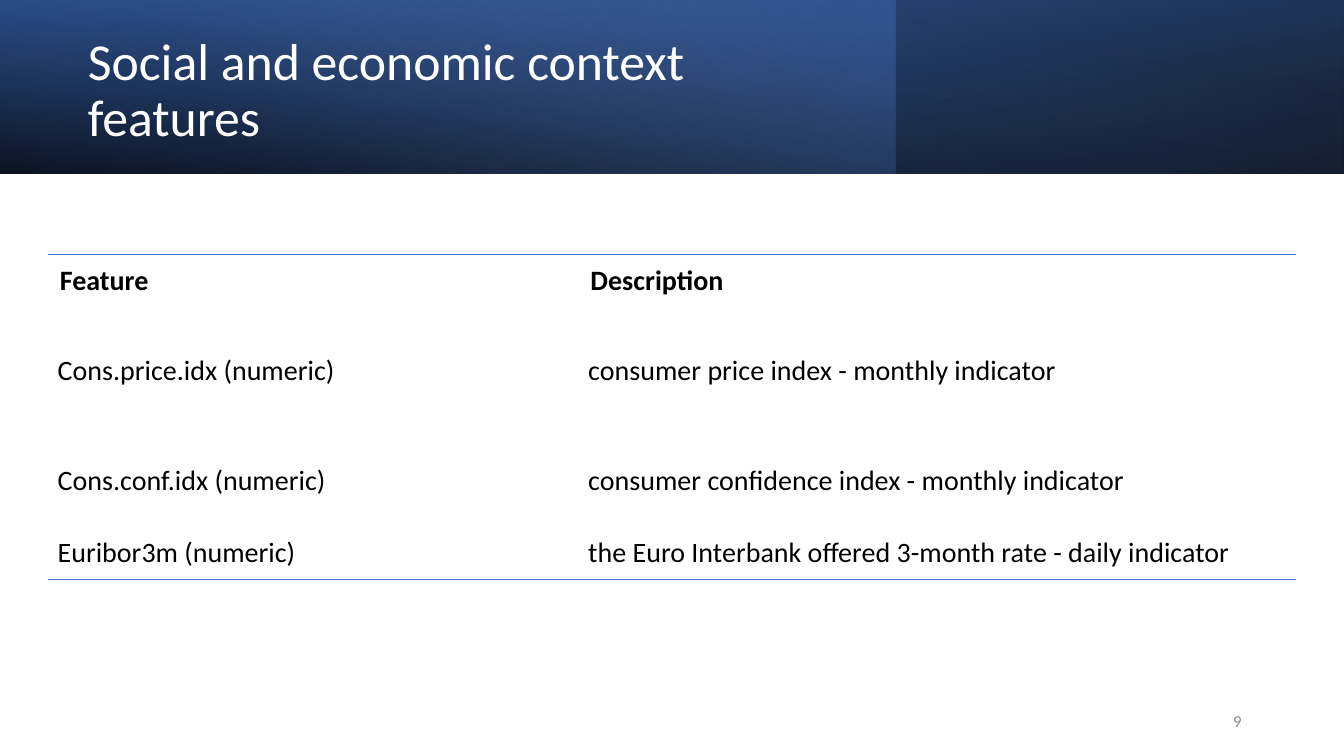
from lxml import etree
from pptx import Presentation
from pptx.dml.color import RGBColor
from pptx.enum import shapes, text
from pptx.oxml import ns
from pptx.util import Pt

FONT = "Calibri"
BLUE = "4472C4"
NO_STYLE = "{2D5ABB26-0587-4C30-8999-92F81FD0307C}"
FEATURES = [
    ("Feature", "Description"),
    ("Cons.price.idx (numeric)", "consumer price index - monthly indicator"),
    ("Cons.conf.idx (numeric)", "consumer confidence index - monthly indicator"),
    ("Euribor3m (numeric)", "the Euro Interbank offered 3-month rate - daily indicator"),
]
COLUMN_WIDTHS = (379, 513)
ROW_HEIGHTS = (38, 91.5, 65, 38)


def rgb(color):
    return RGBColor.from_string(color)


def write(frame, words, size, color, bold=False, align=text.PP_ALIGN.LEFT):
    frame.text = words
    paragraph = frame.paragraphs[0]
    paragraph.alignment = align
    font = paragraph.runs[0].font
    font.name, font.size, font.bold = FONT, Pt(size), bold
    font.color.rgb = rgb(color)


def add_solid(parent, color, alpha=100):
    solid = etree.SubElement(parent, ns.qn("a:srgbClr"), val=color)
    if alpha < 100:
        etree.SubElement(solid, ns.qn("a:alpha"), val=str(alpha * 1000))


def add_band(slide, width, stops, angle, rotation=0, flip=False):
    """Add a header layer; stops are (position %, colour, opacity %)."""
    band = slide.shapes.add_shape(shapes.MSO_SHAPE.RECTANGLE, 0, 0, Pt(width), Pt(124))
    band.shadow.inherit = False
    band.line.fill.background()
    band.rotation = rotation
    properties = band._element.spPr
    if flip:
        properties.find(ns.qn("a:xfrm")).set("flipH", "1")

    band.fill.background()
    gradient = etree.Element(ns.qn("a:gradFill"), rotWithShape="1")
    stop_list = etree.SubElement(gradient, ns.qn("a:gsLst"))
    for position, color, alpha in stops:
        stop = etree.SubElement(stop_list, ns.qn("a:gs"), pos=str(position * 1000))
        add_solid(stop, color, alpha)
    etree.SubElement(gradient, ns.qn("a:lin"), ang=str(angle * 60000), scaled="0")
    properties.replace(properties.find(ns.qn("a:noFill")), gradient)


def add_title(slide, words):
    title = slide.shapes.title
    title.left, title.top, title.width, title.height = Pt(55.5), Pt(19.5), Pt(556), Pt(91.5)
    slide.shapes._spTree.append(title._element)  # bring in front of the bands
    frame = title.text_frame
    write(frame, words, 37, "FFFFFF")
    frame.word_wrap = True
    frame.auto_size = text.MSO_AUTO_SIZE.NONE
    frame.vertical_anchor = text.MSO_ANCHOR.MIDDLE
    frame.paragraphs[0].line_spacing = 0.9


def add_border(cell, side):
    border = etree.Element(ns.qn(side), w=str(Pt(1)))
    add_solid(etree.SubElement(border, ns.qn("a:solidFill")), BLUE)
    cell._tc.get_or_add_tcPr().insert(0, border)


def add_feature_table(slide):
    table = slide.shapes.add_table(
        len(FEATURES), len(COLUMN_WIDTHS), Pt(34), Pt(181.5),
        Pt(sum(COLUMN_WIDTHS)), Pt(sum(ROW_HEIGHTS))).table
    table.horz_banding = False
    table._tbl.tblPr.find(ns.qn("a:tableStyleId")).text = NO_STYLE
    for column, width in zip(table.columns, COLUMN_WIDTHS):
        column.width = Pt(width)
    for row, height in zip(table.rows, ROW_HEIGHTS):
        row.height = Pt(height)

    last = len(FEATURES) - 1
    for r, entries in enumerate(FEATURES):
        for c, entry in enumerate(entries):
            cell = table.cell(r, c)
            write(cell.text_frame, entry, 20, "000000", bold=r == 0)
            cell.vertical_anchor = text.MSO_ANCHOR.MIDDLE
            cell.fill.background()
            if r == 0:
                cell.margin_left = cell.margin_right = Pt(8.75)
                cell.margin_top = cell.margin_bottom = Pt(4.4)
                add_border(cell, "a:lnT")
            elif r == last:
                add_border(cell, "a:lnB")


def add_page_number(slide, number):
    frame = slide.shapes.add_textbox(Pt(678), Pt(500.5), Pt(216), Pt(28.75)).text_frame
    frame.word_wrap = True
    frame.vertical_anchor = text.MSO_ANCHOR.MIDDLE
    write(frame, number, 12, "8C8C8C", align=text.PP_ALIGN.RIGHT)


def main():
    deck = Presentation()
    deck.slide_width, deck.slide_height = Pt(960), Pt(540)
    slide = deck.slides.add_slide(deck.slide_layouts[5])
    add_band(slide, 960, [(0, "000000", 96), (100, "2F5597", 100)], 100, rotation=180, flip=True)
    add_band(slide, 640, [(0, BLUE, 41), (74, "8FAADC", 0)], 140)
    add_band(slide, 960, [(0, "000000", 63), (78, BLUE, 15)], 260, flip=True)
    add_title(slide, "Social and economic context features")
    add_feature_table(slide)
    add_page_number(slide, "9")
    deck.save("out.pptx")


if __name__ == "__main__":
    main()
